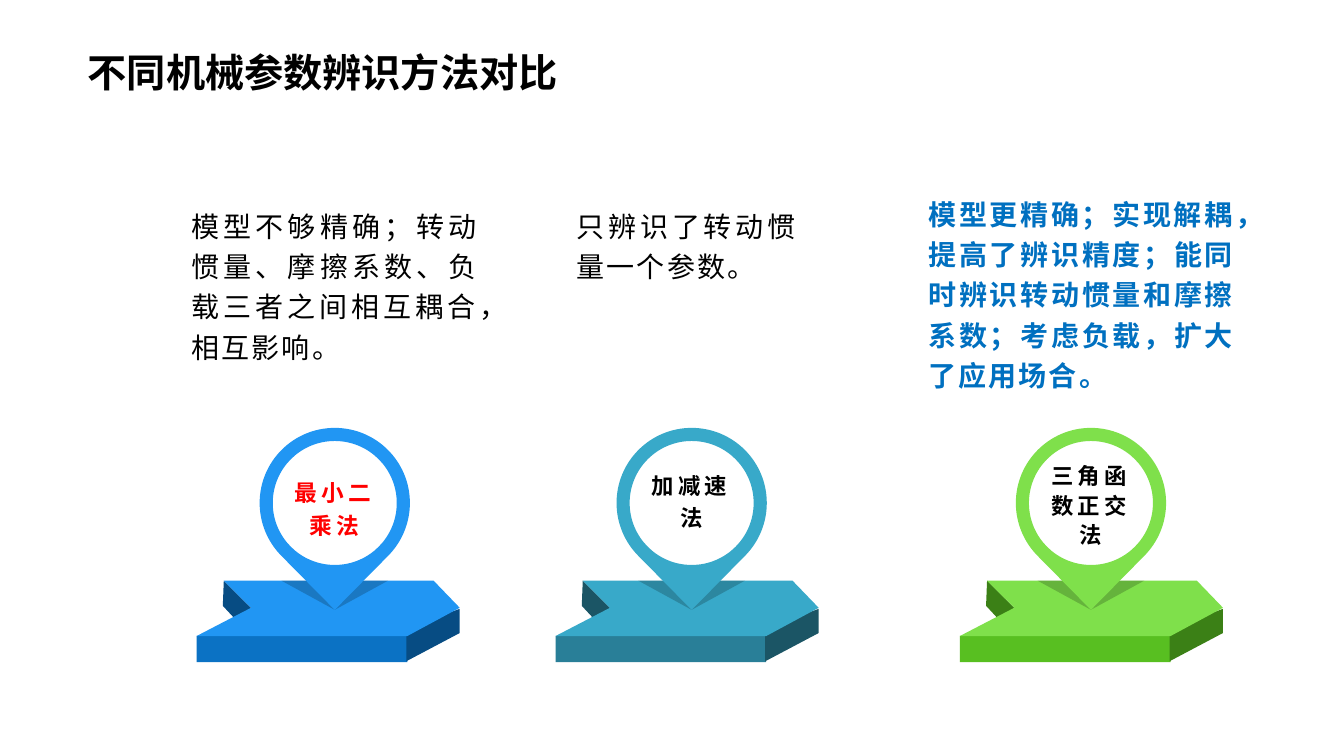
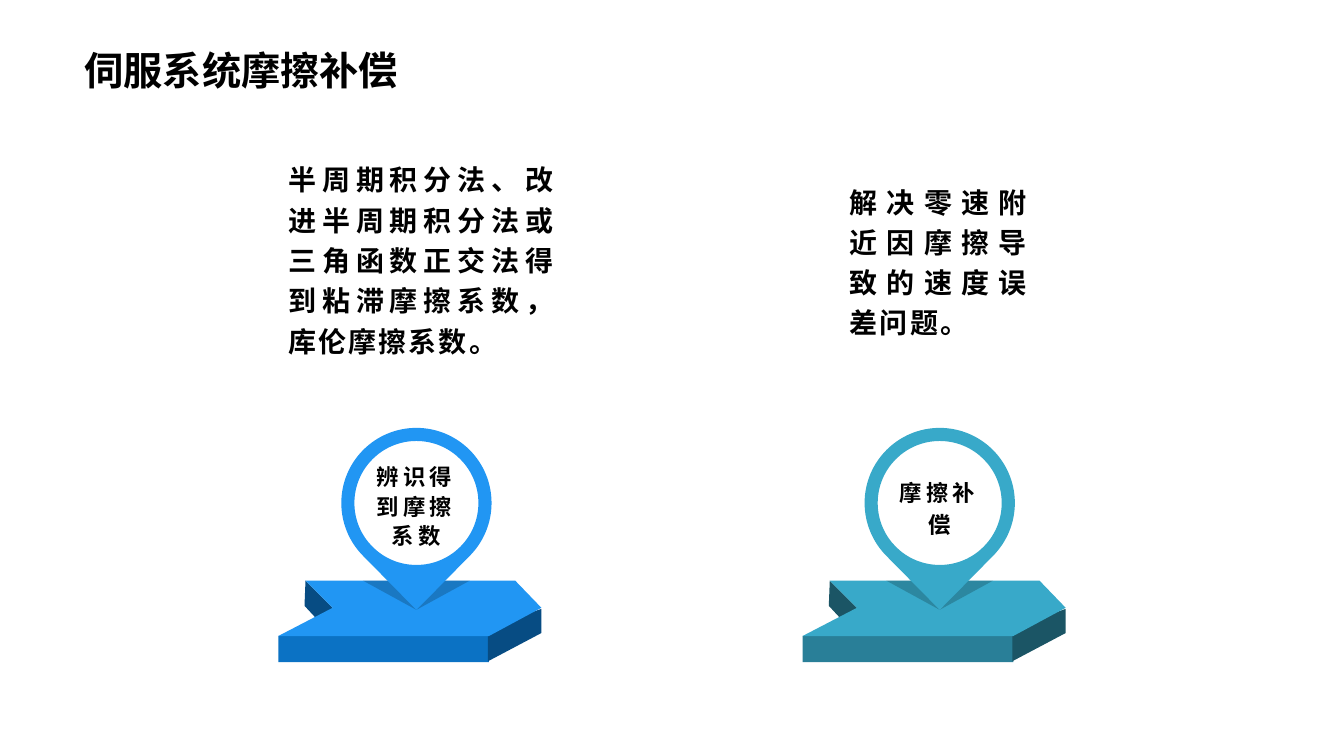
import math
from itertools import pairwise

from lxml import etree
from pptx import Presentation
from pptx.dml.color import RGBColor
from pptx.enum.shapes import MSO_SHAPE
from pptx.enum.text import MSO_ANCHOR, MSO_AUTO_SIZE, PP_ALIGN
from pptx.oxml.ns import qn
from pptx.util import Pt

RECTANGLE = MSO_SHAPE.RECTANGLE
LEFT, CENTER, JUSTIFY = PP_ALIGN.LEFT, PP_ALIGN.CENTER, PP_ALIGN.JUSTIFY
TOP = MSO_ANCHOR.TOP
NO_AUTOFIT = MSO_AUTO_SIZE.NONE

EMU_PER_PX = 9144  # 100 px to the inch
TITLE_ONLY = 5
LATIN_FONT = "Arial"
CJK_FONT = "Noto Sans CJK SC"

COLORS = {"black": "000000", "red": "FF0000", "emphasis": "0070C0"}
THEMES = {
    "blue": {"top": "2196F3", "front": "0B72C4", "side": "074C83"},
    "teal": {"top": "38A9C9", "front": "297F98", "side": "1B5565"},
    "green": {"top": "7FE04B", "front": "58BF21", "side": "3B8016"},
}

# Shared vertical positions of the arrow platforms and pins
PLATFORM_TOP, PLATFORM_FRONT = 576, 631
PIN_CENTER_Y, PIN_DIAMETER, HOLE_DIAMETER = 499, 149, 123
PIN_TIP_Y = 605
LABEL_WIDTH, LABEL_BOTTOM = 106, 551


def px(value):
    return round(value * EMU_PER_PX)


# Basic elements
def paint(shape, color, opacity=None):
    shape.shadow.inherit = False
    shape.line.fill.background()
    shape.fill.solid()
    shape.fill.fore_color.rgb = RGBColor.from_string(color)
    if opacity is not None:
        color_element = shape.fill._xPr.find(qn("a:solidFill"))[0]
        alpha = etree.SubElement(color_element, qn("a:alpha"))
        alpha.set("val", str(opacity * 1000))


def bend_segments(shape, segments):
    """Turn the lines of each three-point segment into one Bezier curve."""
    lines = iter(list(shape._element.iter(qn("a:lnTo"))))
    for segment in segments:
        group = [next(lines) for _ in segment]
        if len(group) == 3:
            curve = etree.Element(qn("a:cubicBezTo"))
            group[0].addprevious(curve)
            for line in group:
                curve.append(line[0])
                line.getparent().remove(line)


def add_outline(slide, contours, color, opacity=None):
    """Draw closed contours as one shape; an inner contour is a hole.

    A contour is its start point and segments of one point (line)
    or three points (curve).
    """
    builder = None
    for start, segments in contours:
        start = tuple(map(px, start))
        if builder is None:
            builder = slide.shapes.build_freeform(*start, scale=1.0)
        else:
            builder.move_to(*start)
        points = [(px(x), px(y)) for segment in segments for x, y in segment]
        builder.add_line_segments(points, close=False)
        builder.add_line_segments([], close=True)
    shape = builder.convert_to_shape()
    bend_segments(shape, [segment for _, segments in contours
                          for segment in segments])
    # Closing lines that only return to the start are dropped
    for close in list(shape._element.iter(qn("a:close"))):
        previous = close.getprevious()
        if previous.tag == qn("a:lnTo"):
            previous.getparent().remove(previous)
    paint(shape, color, opacity)


def polygon(*points):
    """A contour of straight lines that returns to its first point."""
    return points[0], [(point,) for point in points[1:] + points[:1]]


def write_text(shape, text, size=20, color="black", bold=False, font=LATIN_FONT,
               align=LEFT, line_spacing=1.2, tracking=0, inset=10):
    frame = shape.text_frame
    frame.word_wrap = True
    frame.auto_size = NO_AUTOFIT
    frame.vertical_anchor = TOP
    frame.margin_left, frame.margin_right = px(inset), px(10)
    frame.margin_top, frame.margin_bottom = px(5), px(5)
    paragraph = frame.paragraphs[0]
    paragraph.alignment = align
    paragraph.line_spacing = line_spacing
    paragraph.space_before = Pt(0)
    run = paragraph.add_run()
    run.text = text
    run.font.size = Pt(size)
    run.font.bold = bold
    run.font.name = font
    run.font.color.rgb = RGBColor.from_string(COLORS[color])
    properties = run._r.get_or_add_rPr()
    if tracking:
        properties.set("spc", str(round(tracking * 100)))
    east_asian = etree.SubElement(properties, qn("a:ea"))
    east_asian.set("typeface", CJK_FONT)


def add_text(slide, box, text, **text_format):
    shape = slide.shapes.add_textbox(*map(px, box))
    write_text(shape, text, **text_format)


def add_titled_slide(presentation, title, left, top):
    slide = presentation.slides.add_slide(presentation.slide_layouts[TITLE_ONLY])
    shape = slide.shapes.title
    shape.left, shape.top = px(left), px(top)
    shape.width, shape.height = px(529), px(47)
    write_text(shape, title, size=28, bold=True, font=CJK_FONT,
               line_spacing=0.9, inset=19)
    return slide


# Arrow platform with a map pin
def add_platform(slide, left, theme):
    front = slide.shapes.add_shape(
        RECTANGLE, px(left), px(PLATFORM_FRONT), px(209), px(26))
    paint(front, theme["front"])
    faces = [
        ("side", [(208, 623), (208, 656), (261, 628), (261, 604)]),
        ("side", [(27, PLATFORM_TOP), (54, 603), (39, 615), (26, 601)]),
        ("top", [(27, PLATFORM_TOP), (54, 603), (0, PLATFORM_FRONT),
                 (209, PLATFORM_FRONT), (261, 603), (235, PLATFORM_TOP)]),
    ]
    for role, points in faces:
        face = polygon(*[(left + x, y) for x, y in points])
        add_outline(slide, [face], theme[role])


def arc(center_x, diameter, angles):
    """A contour of curves on a circle around the pin centre, by degrees."""
    radius = diameter / 2

    def point(angle, along=0):
        cosine, sine = math.cos(angle), math.sin(angle)
        return (center_x + radius * (cosine - along * sine),
                PIN_CENTER_Y + radius * (sine + along * cosine))

    segments = []
    for start, stop in pairwise(map(math.radians, angles)):
        handle = 4 / 3 * math.tan((stop - start) / 4)
        segments.append((point(start, handle), point(stop, -handle), point(stop)))
    return point(math.radians(angles[0])), segments


def add_pin(slide, center, theme):
    shade = polygon((center - 53, PLATFORM_TOP), (center + 53, PLATFORM_TOP),
                    (center, PIN_TIP_Y))
    add_outline(slide, [shade], COLORS["black"], opacity=20)
    start, curves = arc(center, PIN_DIAMETER, (135, 180, 270, 360, 405))
    drop = start, curves + [((center, PIN_TIP_Y),), (start,)]
    hole = arc(center, HOLE_DIAMETER, (360, 270, 180, 90, 0))
    add_outline(slide, [hole, drop], theme["top"])


def add_method(slide, theme_name, platform_left, pin_center, body, body_box,
               label, label_top, body_format=None, label_format=None):
    theme = THEMES[theme_name]
    add_platform(slide, platform_left, theme)
    add_pin(slide, pin_center, theme)
    add_text(slide, body_box, body, align=JUSTIFY, tracking=1.5,
             **(body_format or {}))
    label_box = (pin_center - LABEL_WIDTH // 2, label_top, LABEL_WIDTH,
                 LABEL_BOTTOM - label_top)
    label_style = {"size": 16, "bold": True, "align": CENTER, "tracking": 3}
    add_text(slide, label_box, label, **label_style | (label_format or {}))


# Slides
def add_comparison_slide(presentation):
    slide = add_titled_slide(presentation, "不同机械参数辨识方法对比", 68, 48)
    add_method(slide, "blue", 195, 332,
               "模型不够精确；转动惯量、摩擦系数、负载三者之间相互耦合，相互影响。",
               (180, 196, 305, 208), "最小二乘法", 465,
               label_format={"size": 16.2, "color": "red"})
    add_method(slide, "teal", 551, 686,
               "只辨识了转动惯量一个参数。",
               (562, 196, 239, 180), "加减速法", 458)
    add_method(slide, "green", 952, 1082,
               "模型更精确；实现解耦，提高了辨识精度；能同时辨识转动惯量和摩擦系数；"
               "考虑负载，扩大了应用场合。",
               (911, 184, 324, 191), "三角函数正交法", 451,
               body_format={"bold": True, "color": "emphasis"},
               label_format={"line_spacing": 1.1})


def add_compensation_slide(presentation):
    slide = add_titled_slide(presentation, "伺服系统摩擦补偿", 65, 46)
    body_format = {"bold": True, "font": CJK_FONT}
    add_method(slide, "blue", 276, 413,
               "半周期积分法、改进半周期积分法或三角函数正交法得到粘滞摩擦系数，"
               "库伦摩擦系数。",
               (276, 150, 285, 266), "辨识得到摩擦系数", 452,
               body_format=body_format, label_format={"line_spacing": 1.1})
    add_method(slide, "teal", 796, 932,
               "解决零速附近因摩擦导致的速度误差问题。",
               (833, 172, 197, 243), "摩擦补偿", 465, body_format=body_format)


def main():
    presentation = Presentation()
    presentation.slide_width, presentation.slide_height = px(1333), px(750)
    add_comparison_slide(presentation)
    add_compensation_slide(presentation)
    presentation.save("out.pptx")


if __name__ == "__main__":
    main()
